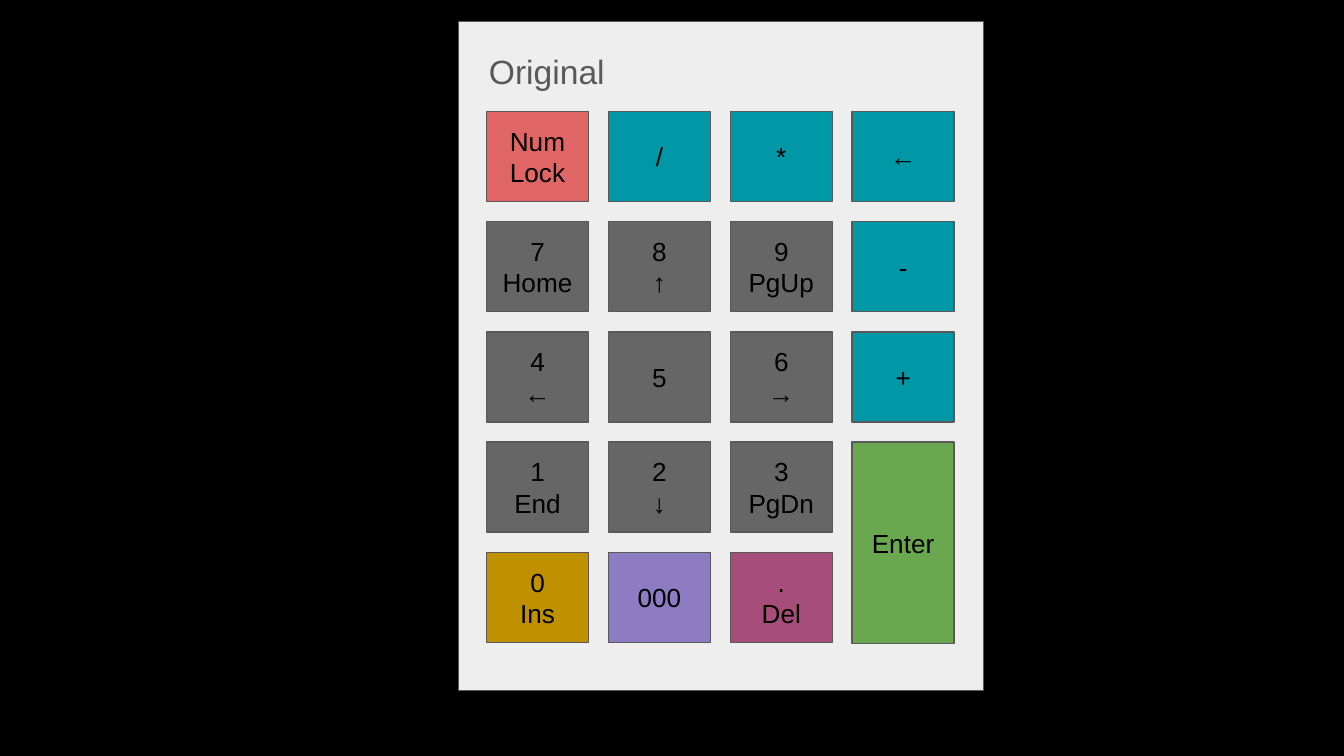
"""Build a slide showing the original numeric keypad layout."""
from dataclasses import dataclass

from pptx import Presentation
from pptx.dml.color import RGBColor
from pptx.enum import shapes, text
from pptx.util import Inches, Pt


@dataclass(frozen=True)
class Theme:
    font: str = "Arial"
    key_size: int = 14
    heading_size: int = 18
    line_width: float = 0.75
    backdrop: str = "000000"
    panel: str = "EEEEEE"
    outline: str = "595959"
    ink: str = "000000"
    lock: str = "E06666"
    operator: str = "0097A7"
    digit: str = "666666"
    insert: str = "BF9000"
    zeros: str = "8E7CC3"
    delete: str = "A64D79"
    enter: str = "6AA84F"


theme = Theme()


def write(box, wording, *, size, color, align, anchor):
    frame = box.text_frame
    frame.word_wrap = True
    frame.vertical_anchor = anchor
    frame.margin_left = frame.margin_right = Inches(0.1)
    frame.margin_top = frame.margin_bottom = Inches(0.1)
    frame.text = wording
    for para in frame.paragraphs:
        para.alignment = align
        for span in para.runs:
            span.font.name = theme.font
            span.font.size = Pt(size)
            span.font.color.rgb = RGBColor.from_string(color)


def add_box(page, left, top, width, height, fill):
    box = page.shapes.add_shape(
        shapes.MSO_SHAPE.RECTANGLE,
        Inches(left), Inches(top), Inches(width), Inches(height),
    )
    box.shadow.inherit = False
    box.fill.solid()
    box.fill.fore_color.rgb = RGBColor.from_string(fill)
    box.line.color.rgb = RGBColor.from_string(theme.outline)
    box.line.width = Pt(theme.line_width)
    return box


deck = Presentation()
deck.slide_width = Inches(10)
deck.slide_height = deck.slide_width * 9 // 16
page = deck.slides.add_slide(deck.slide_layouts.get_by_name("Blank"))
page.background.fill.solid()
page.background.fill.fore_color.rgb = RGBColor.from_string(theme.backdrop)

add_box(page, 3.41, 0.16, 3.91, 4.98, theme.panel)

grid_left, grid_top = 3.62, 0.83
key_width, key_height, enter_height = 0.76, 0.67, 1.5
column_pitch, row_pitch = 2.72 / 3, 0.82

key_rows = [
    [("Num\nLock", theme.lock), ("/", theme.operator),
     ("*", theme.operator), ("←", theme.operator)],
    [("7\nHome", theme.digit), ("8\n↑", theme.digit),
     ("9\nPgUp", theme.digit), ("-", theme.operator)],
    [("4\n←", theme.digit), ("5", theme.digit),
     ("6\n→", theme.digit), ("+", theme.operator)],
    [("1\nEnd", theme.digit), ("2\n↓", theme.digit), ("3\nPgDn", theme.digit)],
    [("0\nIns", theme.insert), ("000", theme.zeros), (".\vDel", theme.delete)],
]
keys = [
    (label, fill, row, column, key_height)
    for row, row_keys in enumerate(key_rows)
    for column, (label, fill) in enumerate(row_keys)
]
keys.append(("Enter", theme.enter, 3, 3, enter_height))

for label, fill, row, column, height in keys:
    left = grid_left + column * column_pitch
    top = grid_top + row * row_pitch
    key = add_box(page, left, top, key_width, height, fill)
    write(key, label, size=theme.key_size, color=theme.ink,
          align=text.PP_ALIGN.CENTER, anchor=text.MSO_ANCHOR.MIDDLE)

heading = page.shapes.add_textbox(Inches(3.54), Inches(0.28), Inches(2.06), Inches(0.5))
write(heading, "Original", size=theme.heading_size, color=theme.outline,
      align=text.PP_ALIGN.LEFT, anchor=text.MSO_ANCHOR.TOP)
heading.text_frame.auto_size = text.MSO_AUTO_SIZE.SHAPE_TO_FIT_TEXT

deck.save("out.pptx")
